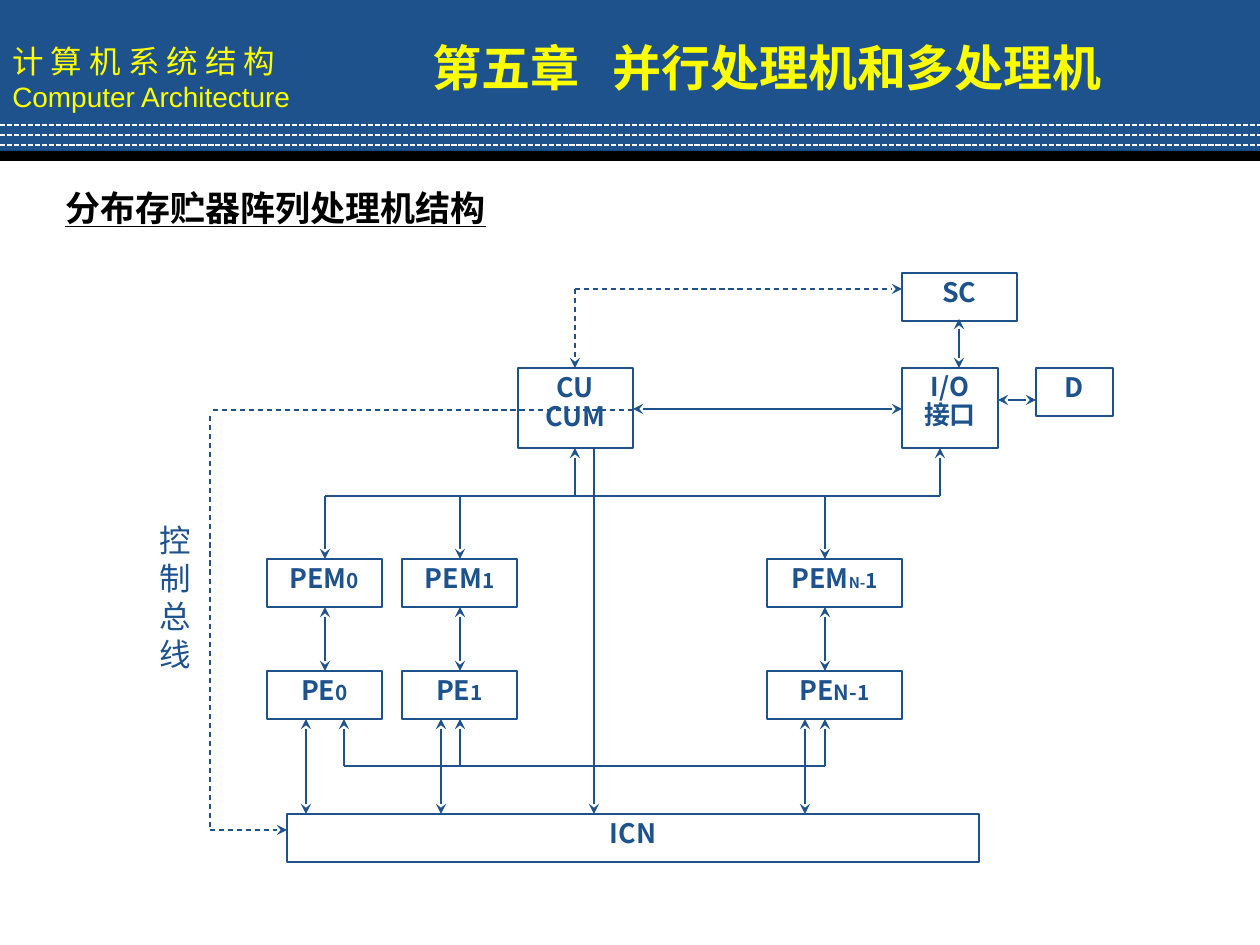
from lxml import etree
from pptx import Presentation, util as u
from pptx.dml.color import RGBColor
from pptx.enum import dml, shapes, text
from pptx.oxml.ns import qn

PX = 914400 / 126
BLUE, YELLOW, WHITE, BLACK = "1D528D", "FFFF00", "FFFFFF", "000000"
CJK = "Noto Sans CJK SC"

# Content: banner lines are (text, size, font)
banner_lines = [("计 算 机 系 统 结 构", 18, CJK), ("Computer Architecture", 16, "Arial")]
chapter = "第五章\t并行处理机和多处理机"
heading = "分布存贮器阵列处理机结构"
bus_label = "控制总线"

# Processing elements: left, width, centre, ICN link x, bus tap x, index runs of PEM and PE
elements = [
    (267, 115, 325, 306, 344, [("0", 11.9)], [("0", 11.9)]),
    (402, 115, 460, 441, 460, [("1", 11.9)], [("1", 11.9)]),
    (767, 135, 825, 805, 825, [("N-", 8.5), ("1", 11.9)], [("N-1", 11.9)]),
]
BOX_H, PEM_Y, PE_Y, ICN_Y = 48, 559, 671, 814
MEMORY_BUS_Y, ELEMENT_BUS_Y = 496, 766

# Other units: left, top, width, height, text size, lines
units = [
    (287, ICN_Y, 692, BOX_H, 15.3, ["ICN"]),
    (518, 368, 115, 80, 15.3, ["CU", "CUM"]),
    (902, 368, 96, 80, 14.8, ["I/O", "接口"]),
    (1036, 368, 77, BOX_H, 15.3, ["D"]),
    (902, 273, 115, BOX_H, 15.3, ["SC"]),
]

# Links: x1, y1, x2, y2, arrowheads (0 none, 1 at the end, 2 at both ends)
control_links = [
    (575, 289, 902, 289, 1), (575, 289, 575, 368, 1),
    (633, 410, 210, 410, 0), (210, 416, 210, 830, 0), (210, 830, 287, 830, 1),
]
data_links = [
    (633, 409, 902, 409, 2), (998, 400, 1036, 400, 2), (959, 319, 959, 368, 2),
    (325, MEMORY_BUS_Y, 940, MEMORY_BUS_Y, 0), (940, MEMORY_BUS_Y, 940, 448, 1),
    (575, MEMORY_BUS_Y, 575, 448, 1), (594, 448, 594, ICN_Y, 1),
    (344, ELEMENT_BUS_Y, 825, ELEMENT_BUS_Y, 0),
]


def px(*values):
    return [u.Emu(round(value * PX)) for value in values]


def color(value):
    return RGBColor.from_string(value)


def set_font(font, size, fill, name=CJK, bold=False):
    font.size, font.bold, font.name = u.Pt(size), bold, name
    font.color.rgb = color(fill)


def add_run(paragraph, content, size, fill, name=CJK, bold=False):
    run = paragraph.add_run()
    run.text = content
    set_font(run.font, size, fill, name, bold)
    # East Asian glyphs take their own typeface
    etree.SubElement(run.font._element, qn("a:ea")).set("typeface", name)
    return run


def add_rect(place, fill=None, line=None):
    shape = slide.shapes.add_shape(shapes.MSO_SHAPE.RECTANGLE, *px(*place))
    shape.shadow.inherit = False
    if fill:
        shape.fill.solid()
        shape.fill.fore_color.rgb = color(fill)
    else:
        shape.fill.background()
    if line:
        shape.line.color.rgb = color(line)
        shape.line.width = u.Pt(0.75)
    else:
        shape.line.fill.background()
    return shape


def add_unit(place, lines):
    """Outlined box; each line is a list of (text, size) runs."""
    frame = add_rect(place, line=BLUE).text_frame
    frame.vertical_anchor = text.MSO_ANCHOR.TOP
    for index, runs in enumerate(lines):
        paragraph = frame.add_paragraph() if index else frame.paragraphs[0]
        paragraph.alignment = text.PP_ALIGN.CENTER
        paragraph.line_spacing = 0.9
        for content, size in runs:
            add_run(paragraph, content, size, BLUE, bold=True)


def add_line(x1, y1, x2, y2, heads=0, fill=BLUE, width=0.75, dash=None):
    line = slide.shapes.add_connector(shapes.MSO_CONNECTOR.STRAIGHT, *px(x1, y1, x2, y2))
    line.line.color.rgb = color(fill)
    line.line.width = u.Pt(width)
    if dash:
        line.line.dash_style = dash
    properties = line._element.spPr
    outline = properties.find(qn("a:ln"))
    for end in ["a:headEnd", "a:tailEnd"][2 - heads:]:
        etree.SubElement(outline, qn(end)).set("type", "stealth")
    etree.SubElement(properties, qn("a:effectLst"))


def add_label(place, content, size, fill, bold=False, wrap=True):
    frame = slide.shapes.add_textbox(*px(*place)).text_frame
    frame.word_wrap = wrap
    return add_run(frame.paragraphs[0], content, size, fill, bold=bold)


presentation = Presentation()
presentation.slide_width, presentation.slide_height = px(1260, 945)
slide = presentation.slides.add_slide(presentation.slide_layouts[6])

# Banner
banner = add_rect((0, 0, 1260, 155), BLUE).text_frame
banner.vertical_anchor = text.MSO_ANCHOR.MIDDLE
for index, (content, size, name) in enumerate(banner_lines):
    paragraph = banner.add_paragraph() if index else banner.paragraphs[0]
    paragraph.alignment = text.PP_ALIGN.LEFT
    add_run(paragraph, content, size, YELLOW, name)
add_rect((0, 151, 1260, 10), BLACK)
for y in (125, 135, 145):
    add_line(0, y, 1260, y, fill=WHITE, width=1, dash=dml.MSO_LINE.SQUARE_DOT)

# Boxes of the diagram
for left, width, *_, memory_index, element_index in elements:
    add_unit((left, PEM_Y, width, BOX_H), [[("PEM", 15.3), *memory_index]])
    add_unit((left, PE_Y, width, BOX_H), [[("PE", 15.3), *element_index]])
for *place, size, lines in units:
    add_unit(place, [[(line, size)] for line in lines])

# Links of the diagram
for link in control_links:
    add_line(*link, dash=dml.MSO_LINE.DASH)
for link in data_links:
    add_line(*link)
for _, _, centre, icn_x, tap_x, *_ in elements:
    add_line(centre, MEMORY_BUS_Y, centre, PEM_Y, 1)
    add_line(centre, PEM_Y + BOX_H, centre, PE_Y, 2)
    add_line(icn_x, PE_Y + BOX_H, icn_x, ICN_Y, 2)
    add_line(tap_x, ELEMENT_BUS_Y, tap_x, PE_Y + BOX_H, 1)

# Headings and bus label
add_label((53, 180, 446, 55), heading, 20, BLACK, True, False).font.underline = True
title = slide.shapes.add_textbox(*px(420, 31, 809, 72)).text_frame
title.word_wrap = True
paragraph = title.paragraphs[0]
tabs = etree.SubElement(paragraph._element.get_or_add_pPr(), qn("a:tabLst"))
etree.SubElement(tabs, qn("a:tab"), pos=str(px(180)[0]), algn="l")
add_run(paragraph, chapter, 28, YELLOW, bold=True)
add_label((147, 515, 55, 164), bus_label, 18, BLUE)

presentation.save("out.pptx")
